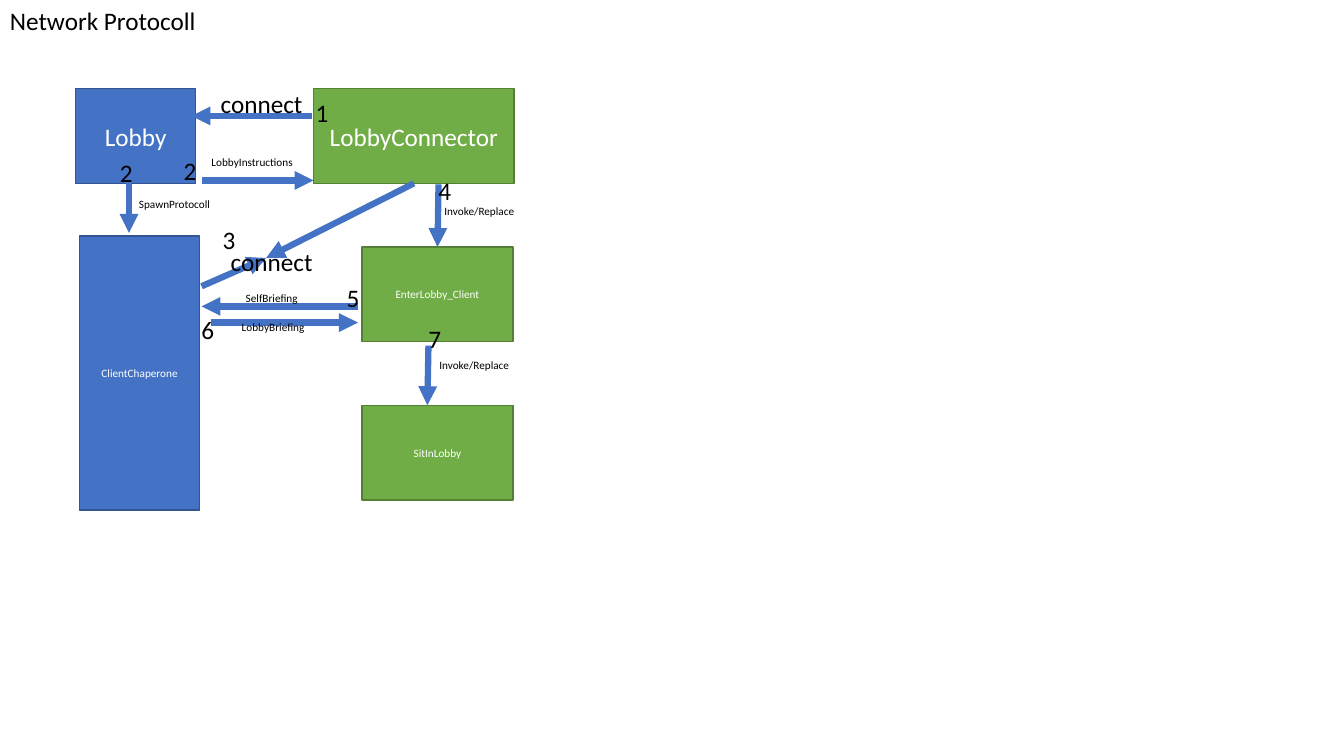
"""Build the network protocol slide: boxes, message arrows and step labels."""
from lxml import etree
from pptx import Presentation
from pptx import util as u
from pptx.dml.color import RGBColor
from pptx.enum import shapes, text
from pptx.oxml.ns import qn

theme = {
    "font": "Calibri", "big": 18, "small": 8, "ink": "000000", "pale": "FFFFFF",
    "blue": ("4472C4", "325491"), "green": ("70AD47", "538035"),
    "edge": 1, "stroke": 4.5,
}

deck = Presentation()
deck.slide_width, deck.slide_height = u.Inches(13.333), u.Inches(7.5)
slide = deck.slides.add_slide(deck.slide_layouts[6])
col, row = deck.slide_width / 100, deck.slide_height / 100


def place(*cells):
    """Turn columns and rows of the 100 by 100 grid into lengths."""
    return [int(n * unit) for n, unit in zip(cells, (col, row, col, row))]


def write(shape, words, size, tone):
    """Put one styled line of text into a shape."""
    shape.text_frame.word_wrap = True
    para = shape.text_frame.paragraphs[0]
    para.text = words
    para.font.name = theme["font"]
    para.font.size = u.Pt(theme[size])
    para.font.color.rgb = RGBColor.from_string(theme[tone])
    return para


slim, wide, low = 8.93, 14.93, 12.53
boxes = [
    ("Lobby", "big", "blue", 5.63, 11.73, slim, low),
    ("LobbyConnector", "big", "green", 23.33, 11.73, wide, low),
    ("ClientChaperone", "small", "blue", 5.93, 31.2, slim, 36.27),
    ("EnterLobby_Client", "small", "green", 26.93, 32.67, 11.25, low),
    ("SitInLobby", "small", "green", 26.93, 53.6, 11.25, low),
]
made = {}
for name, size, hue, *cells in boxes:
    box = slide.shapes.add_shape(shapes.MSO_SHAPE.RECTANGLE, *place(*cells))
    fill, edge = theme[hue]
    box.shadow.inherit = False
    box.fill.solid()
    box.fill.fore_color.rgb = RGBColor.from_string(fill)
    box.line.color.rgb = RGBColor.from_string(edge)
    box.line.width = u.Pt(theme["edge"])
    box.text_frame.vertical_anchor = text.MSO_ANCHOR.MIDDLE
    write(box, name, size, "pale").alignment = text.PP_ALIGN.CENTER
    made[name] = box

meet = (19.8, 34.13)
arrows = [
    (23.25, 15.33, 14.25, 15.33, None, None),
    (15, 23.87, 23.33, 23.87, None, None),
    (9.6, 24.13, 9.6, 30.8, None, None),
    (15, 37.87, *meet, None, None),
    (30.79, 24.27, *meet, "LobbyConnector", None),
    (32.63, 24.4, 32.55, 32.67, None, "EnterLobby_Client"),
    (26.63, 40.53, 15, 40.53, None, None),
    (15.68, 42.67, 26.63, 42.67, None, None),
    (31.88, 45.73, 31.8, 53.6, None, None),
]
for *cells, start, end in arrows:
    line = slide.shapes.add_connector(shapes.MSO_CONNECTOR.STRAIGHT, *place(*cells))
    if start:
        line.begin_connect(made[start], 2)
    if end:
        line.end_connect(made[end], 0)
    line.line.color.rgb = RGBColor.from_string(theme["blue"][0])
    line.line.width = u.Pt(theme["stroke"])
    etree.SubElement(line.line._get_or_add_ln(), qn("a:tailEnd"), type="triangle")
    etree.SubElement(line._element.spPr, qn("a:effectLst"))

tall = {"big": 5.33, "small": 3.15}
span, digit, thin = 8.25, 2.33, 1.43
labels = [
    ("Network Protocoll", "big", 0, 0, 20.78),
    ("connect", "big", 15.68, 11.07, span),
    ("LobbyInstructions", "small", 15, 19.87, span),
    ("1", "big", 22.8, 12.27, thin),
    ("2", "big", 12.98, 19.87, thin),
    ("SpawnProtocoll", "small", 9.6, 25.47, 6.98),
    ("2", "big", 8.18, 20.13, digit),
    ("connect", "big", 16.43, 31.87, span),
    ("3", "big", 15.83, 29.07, digit),
    ("Invoke/Replace", "small", 32.33, 26.4, span),
    ("4", "big", 31.88, 22.53, digit),
    ("SelfBriefing", "small", 17.55, 37.87, span),
    ("LobbyBriefing", "small", 17.25, 41.73, span),
    ("5", "big", 25.05, 36.67, digit),
    ("6", "big", 14.25, 40.93, digit),
    ("7", "big", 31.13, 42.13, digit),
    ("Invoke/Replace", "small", 31.95, 46.8, span),
]
for words, size, *cells in labels:
    label = slide.shapes.add_textbox(*place(*cells, tall[size]))
    label.text_frame.auto_size = text.MSO_AUTO_SIZE.SHAPE_TO_FIT_TEXT
    write(label, words, size, "ink")

deck.save("out.pptx")
